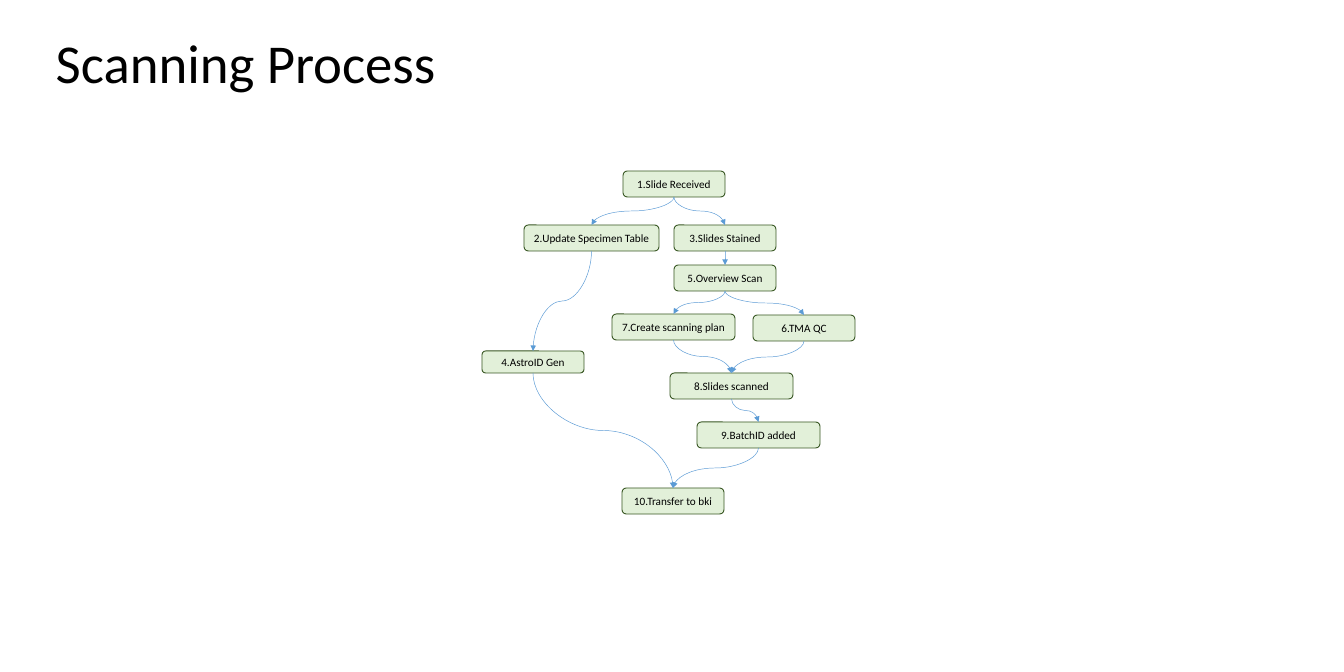
from lxml.etree import SubElement
from pptx import Presentation
from pptx.dml.color import RGBColor
from pptx.enum.shapes import MSO_CONNECTOR, MSO_SHAPE
from pptx.enum.text import MSO_ANCHOR, MSO_AUTO_SIZE, PP_ALIGN
from pptx.oxml.ns import qn
from pptx.util import Pt

PIXEL = 13607  # EMU per pixel at 67.2 pixels to the inch


def color(value):
    return RGBColor.from_string(value)


def format_text(shape, text, size, alignment):
    frame = shape.text_frame
    frame.text = text
    frame.word_wrap = True
    frame.auto_size = MSO_AUTO_SIZE.NONE
    frame.vertical_anchor = MSO_ANCHOR.MIDDLE
    paragraph = frame.paragraphs[0]
    paragraph.alignment = alignment
    paragraph.font.name = "Calibri"
    paragraph.font.size = Pt(size)
    paragraph.font.color.rgb = color("000000")
    return paragraph


presentation = Presentation()
presentation.slide_width = 1344 * PIXEL
presentation.slide_height = 672 * PIXEL
slide = presentation.slides.add_slide(presentation.slide_layouts[5])

# Title
title = slide.shapes.title
title.left, title.top, title.width, title.height = (
    value * PIXEL for value in (49, 17, 773, 97))
format_text(title, "Scanning Process", 58.7, PP_ALIGN.LEFT).line_spacing = 0.9

# Process steps: number, label, left, top, width, height
steps = [
    (1, "Slide Received", 623, 171, 102, 26),
    (2, "Update Specimen Table", 524, 225, 135, 26),
    (3, "Slides Stained", 674, 225, 102, 26),
    (4, "AstroID Gen", 482, 351, 102, 22),
    (5, "Overview Scan", 674, 265, 102, 26),
    (6, "TMA QC", 753, 315, 102, 26),
    (7, "Create scanning plan", 612, 314, 123, 26),
    (8, "Slides scanned", 670, 373, 123, 26),
    (9, "BatchID added", 697, 422, 123, 26),
    (10, "Transfer to bki", 622, 488, 102, 26),
]
boxes = {}
for number, label, *bounds in steps:
    box = slide.shapes.add_shape(
        MSO_SHAPE.ROUNDED_RECTANGLE, *(value * PIXEL for value in bounds))
    box.shadow.inherit = False
    box.fill.solid()
    box.fill.fore_color.rgb = color("E2F0D9")
    box.line.color.rgb = color("385723")
    box.line.width = Pt(1)
    format_text(box, f"{number}.{label}", 12, PP_ALIGN.CENTER)
    boxes[number] = box

# Curved arrows from the bottom of one step to the top of the next
flows = [(1, 2), (1, 3), (2, 4), (4, 10), (3, 5), (5, 6),
         (5, 7), (7, 8), (8, 9), (9, 10), (6, 8)]
for source, target in flows:
    arrow = slide.shapes.add_connector(MSO_CONNECTOR.CURVE, 0, 0, 0, 0)
    arrow.begin_connect(boxes[source], 2)
    arrow.end_connect(boxes[target], 0)
    start_x, start_y = arrow.begin_x, arrow.begin_y
    end_x, end_y = arrow.end_x, arrow.end_y

    # A quarter turn makes the curve leave and arrive vertically
    arrow.width, arrow.height = end_y - start_y, abs(end_x - start_x)
    arrow.left = (start_x + end_x - arrow.width) // 2
    arrow.top = (start_y + end_y - arrow.height) // 2
    goes_right = end_x > start_x
    properties = arrow._element.spPr
    transform = properties.find(qn("a:xfrm"))
    transform.set("rot", str((270 if goes_right else 90) * 60000))
    transform.set("flipH", "1" if goes_right else "0")

    arrow.line.color.rgb = color("5B9BD5")
    arrow.line.width = Pt(0.5)
    SubElement(properties.find(qn("a:ln")), qn("a:tailEnd"), type="triangle")
    SubElement(properties, qn("a:effectLst"))

presentation.save("out.pptx")
